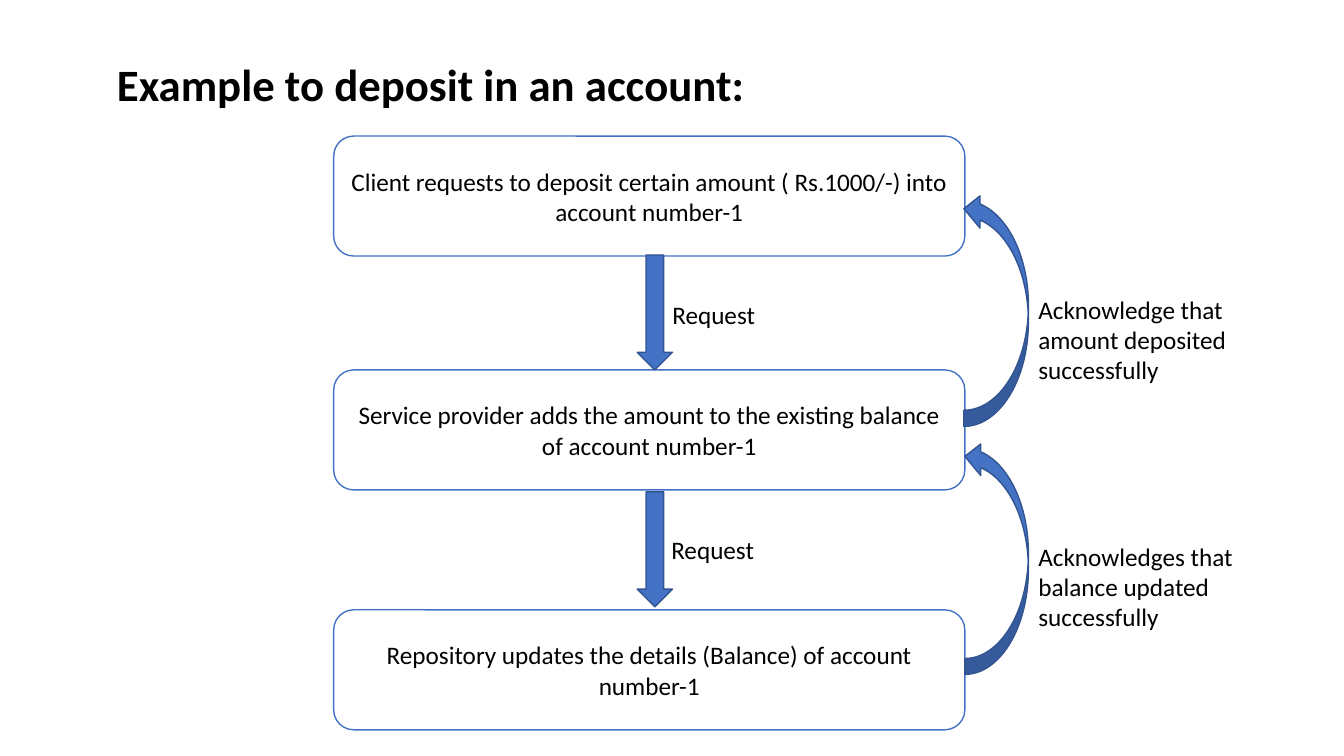
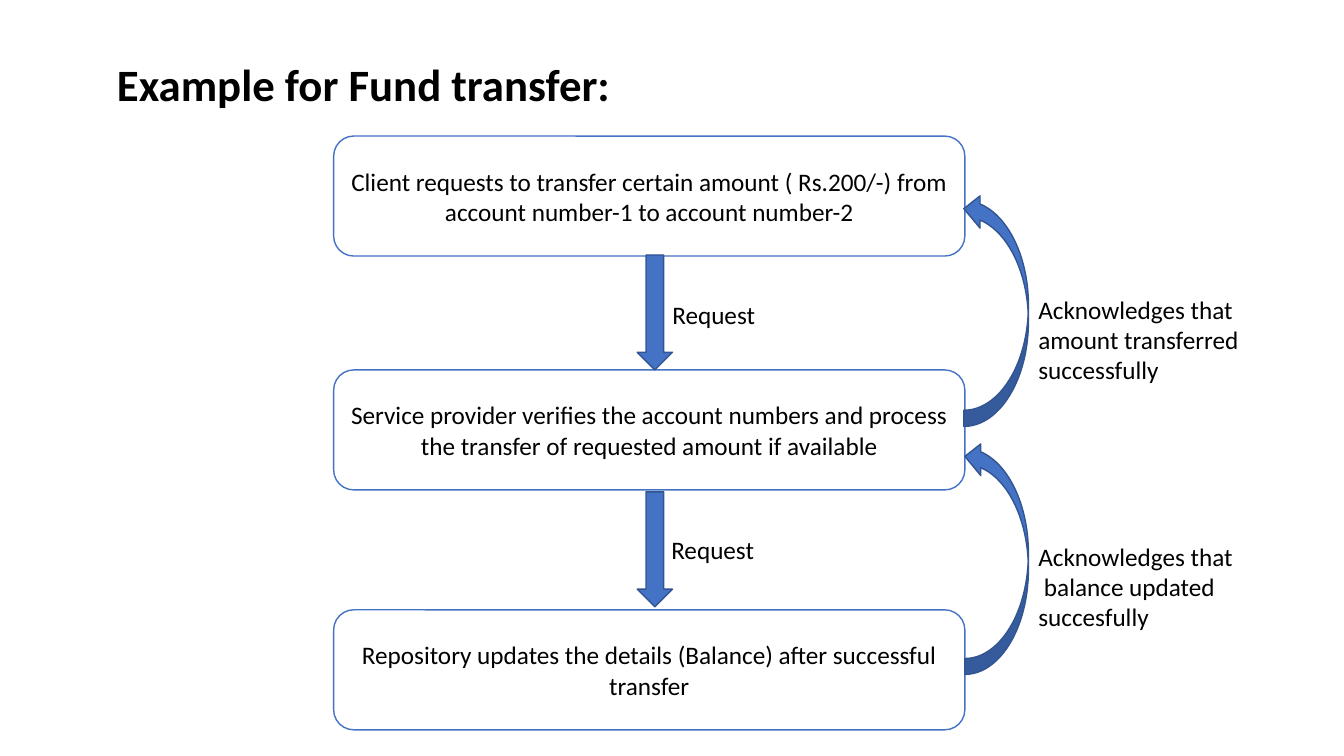
import pptx
import pptx.util
import pptx.dml.color
import pptx.enum.shapes
import pptx.enum.text

Inches = pptx.util.Inches
Pt = pptx.util.Pt
RGBColor = pptx.dml.color.RGBColor
SHAPE = pptx.enum.shapes.MSO_SHAPE
ALIGN = pptx.enum.text.PP_ALIGN
ANCHOR = pptx.enum.text.MSO_ANCHOR

# Shared style
FONT = "Calibri"
BLACK = RGBColor(0x00, 0x00, 0x00)
WHITE = RGBColor(0xFF, 0xFF, 0xFF)
BLUE = RGBColor(0x44, 0x72, 0xC4)
DARK_BLUE = RGBColor(0x32, 0x54, 0x91)

# Shared flow layout: left, top, width, height in inches
STEP_TOPS = (1.35, 3.67, 6.05)
REQUEST_ARROW_TOPS = (2.53, 4.88)
REQUEST_LABELS = ((6.57, 2.92), (6.56, 5.25))
RETURN_ARROWS = ((9.56, 1.91, 0.64, 2.32), (9.57, 4.37, 0.63, 2.32))
REPLY_TOPS = (2.87, 5.32)

# One entry per slide: title, steps from top to bottom, replies
FLOWS = (
    (
        "Example to deposit in an account:",
        (
            "Client requests to deposit certain amount ( Rs.1000/-) into account number-1",
            "Service provider adds the amount to the existing balance of account number-1",
            "Repository updates the details (Balance) of account number-1",
        ),
        (
            ("Acknowledge that", "amount deposited", "successfully"),
            ("Acknowledges that", "balance updated", "successfully"),
        ),
    ),
    (
        "Example for Fund transfer:",
        (
            "Client requests to transfer certain amount ( Rs.200/-) from "
            "account number-1 to account number-2",
            "Service provider verifies the account numbers and process "
            "the transfer of requested amount if available",
            "Repository updates the details (Balance) after successful transfer",
        ),
        (
            ("Acknowledges that", "amount transferred", "successfully"),
            ("Acknowledges that", " balance updated", "succesfully"),
        ),
    ),
)


def write_text(shape, *lines, size=18, bold=False, align=ALIGN.LEFT,
               anchor=ANCHOR.TOP, line_spacing=None):
    """Fill a shape with one paragraph per line."""
    frame = shape.text_frame
    frame.word_wrap = True
    frame.vertical_anchor = anchor
    for index, line in enumerate(lines):
        paragraph = frame.add_paragraph() if index else frame.paragraphs[0]
        paragraph.alignment = align
        paragraph.line_spacing = line_spacing
        run = paragraph.add_run()
        run.text = line
        run.font.name = FONT
        run.font.size = Pt(size)
        run.font.bold = bold
        run.font.color.rgb = BLACK


def add_text(slide, box, *lines, **text_format):
    text_box = slide.shapes.add_textbox(*map(Inches, box))
    write_text(text_box, *lines, **text_format)
    return text_box


def add_block(slide, kind, box, fill, line, rotation=0):
    shape = slide.shapes.add_shape(kind, *map(Inches, box))
    shape.shadow.inherit = False
    shape.fill.solid()
    shape.fill.fore_color.rgb = fill
    shape.line.color.rgb = line
    shape.line.width = Pt(1)
    shape.rotation = rotation
    return shape


def add_title(slide, title):
    text_box = add_text(slide, (0.92, 0.45, 11.5, 0.82), title, size=32,
                        bold=True, anchor=ANCHOR.MIDDLE, line_spacing=0.9)
    text_box.text_frame.margin_left = Inches(0.24)


def add_step(slide, top, text):
    step = add_block(slide, SHAPE.FLOWCHART_ALTERNATE_PROCESS,
                     (3.31, top, 6.26, 1.19), WHITE, BLUE)
    write_text(step, text, align=ALIGN.CENTER, anchor=ANCHOR.MIDDLE)


def add_flow_slide(presentation, title, steps, replies):
    slide = presentation.slides.add_slide(presentation.slide_layouts[6])
    add_title(slide, title)
    for top, text in zip(STEP_TOPS, steps):
        add_step(slide, top, text)

    # Requests going down
    for top in REQUEST_ARROW_TOPS:
        add_block(slide, SHAPE.DOWN_ARROW, (6.32, top, 0.35, 1.14), BLUE, DARK_BLUE)
    for left, top in REQUEST_LABELS:
        add_text(slide, (left, top, 1.1, 0.4), "Request")

    # Acknowledgements going back up
    for box in RETURN_ARROWS:
        add_block(slide, SHAPE.CURVED_RIGHT_ARROW, box, BLUE, DARK_BLUE, rotation=180)
    for top, lines in zip(REPLY_TOPS, replies):
        add_text(slide, (10.2, top, 2.27, 1.01), *lines)


def main():
    presentation = pptx.Presentation()
    presentation.slide_width = Inches(13.33)
    presentation.slide_height = Inches(7.5)
    for title, steps, replies in FLOWS:
        add_flow_slide(presentation, title, steps, replies)
    presentation.save("out.pptx")


main()
